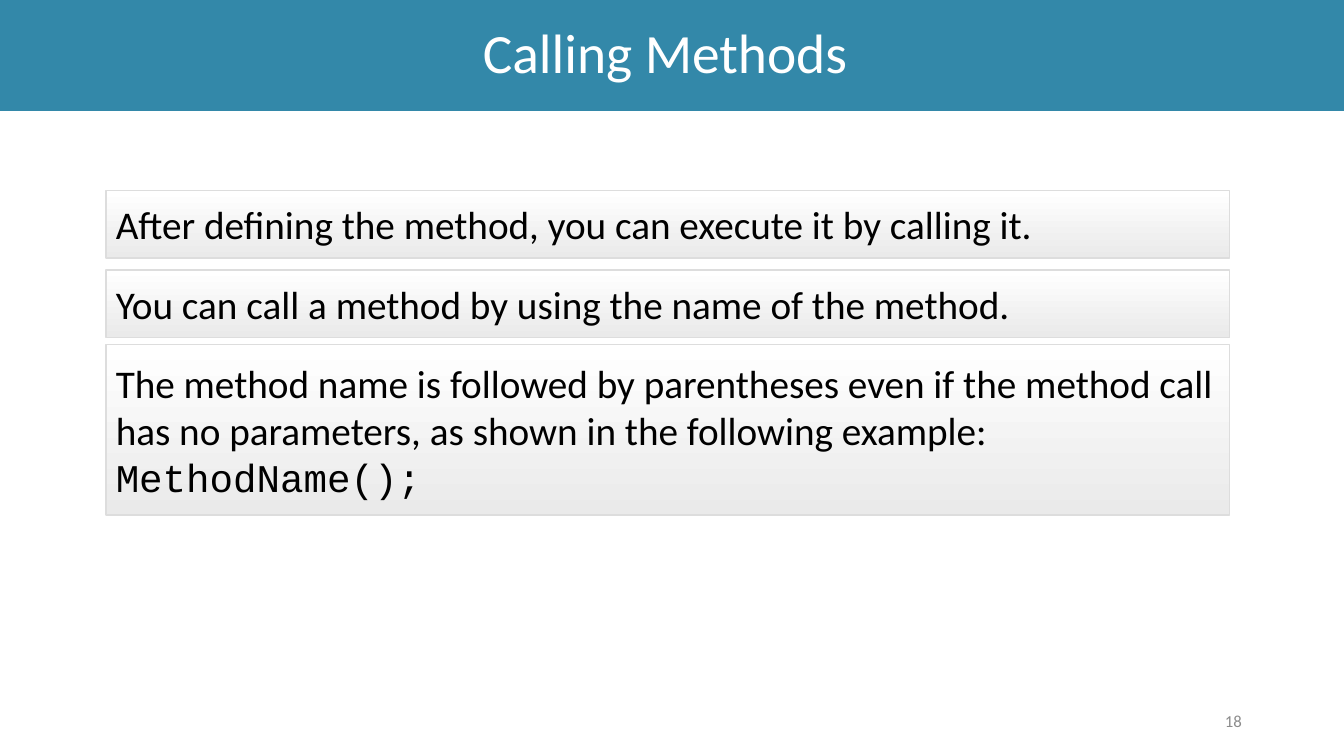
from pptx import Presentation
from pptx.dml.color import RGBColor
from pptx.enum import shapes, text
from pptx.util import Pt


def rgb(value):
    return RGBColor.from_string(value)


def style(paragraph, size, color, font="Calibri"):
    for run in paragraph.runs:
        run.font.name = font
        run.font.size = Pt(size)
        run.font.color.rgb = rgb(color)


deck = Presentation()
deck.slide_width, deck.slide_height = Pt(960), Pt(540)
slide = deck.slides.add_slide(deck.slide_layouts[5])

# Title band
title = slide.shapes.title
title.left, title.top, title.width, title.height = Pt(0), Pt(0), Pt(960), Pt(79.2)
title.fill.solid()
title.fill.fore_color.rgb = rgb("3388A9")
heading = title.text_frame
heading.text = "Calling Methods"
heading.auto_size = text.MSO_AUTO_SIZE.NONE
heading.vertical_anchor = text.MSO_ANCHOR.MIDDLE
heading.margin_right = Pt(17)
heading.paragraphs[0].alignment = text.PP_ALIGN.CENTER
heading.paragraphs[0].line_spacing = 0.9
style(heading.paragraphs[0], 39.6, "FFFFFF")

# Statements: top, height, lines with their fonts
statements = [
    (136.1, 48.2, [("After defining the method, you can execute it by calling it.", "Calibri")]),
    (193, 48.2, [("You can call a method by using the name of the method.", "Calibri")]),
    (246.2, 121.7, [
        ("The method name is followed by parentheses even if the method call "
         "has no parameters, as shown in the following example:", "Calibri"),
        ("MethodName();", "Courier New"),
    ]),
]
for top, height, lines in statements:
    panel = slide.shapes.add_shape(
        shapes.MSO_SHAPE.RECTANGLE, Pt(75.6), Pt(top), Pt(802.8), Pt(height))
    panel.shadow.inherit = False
    panel.fill.gradient()
    panel.fill.gradient_angle = 270
    for stop, color in zip(panel.fill.gradient_stops, ("FFFFFF", "EAEAEA")):
        stop.color.rgb = rgb(color)
    panel.line.color.rgb = rgb("DDDDDD")
    panel.line.width = Pt(1)
    body = panel.text_frame
    body.word_wrap = True
    body.vertical_anchor = text.MSO_ANCHOR.MIDDLE
    body.text = "\n".join(line for line, font in lines)
    for paragraph, (line, font) in zip(body.paragraphs, lines):
        paragraph.alignment = text.PP_ALIGN.LEFT
        style(paragraph, 28, "000000", font)

# Page number
page_number = slide.shapes.add_textbox(Pt(678.2), Pt(500.4), Pt(216), Pt(28.8)).text_frame
page_number.word_wrap = True
page_number.vertical_anchor = text.MSO_ANCHOR.MIDDLE
page_number.text = "18"
page_number.paragraphs[0].alignment = text.PP_ALIGN.RIGHT
style(page_number.paragraphs[0], 12, "8C8C8C")

deck.save("out.pptx")
